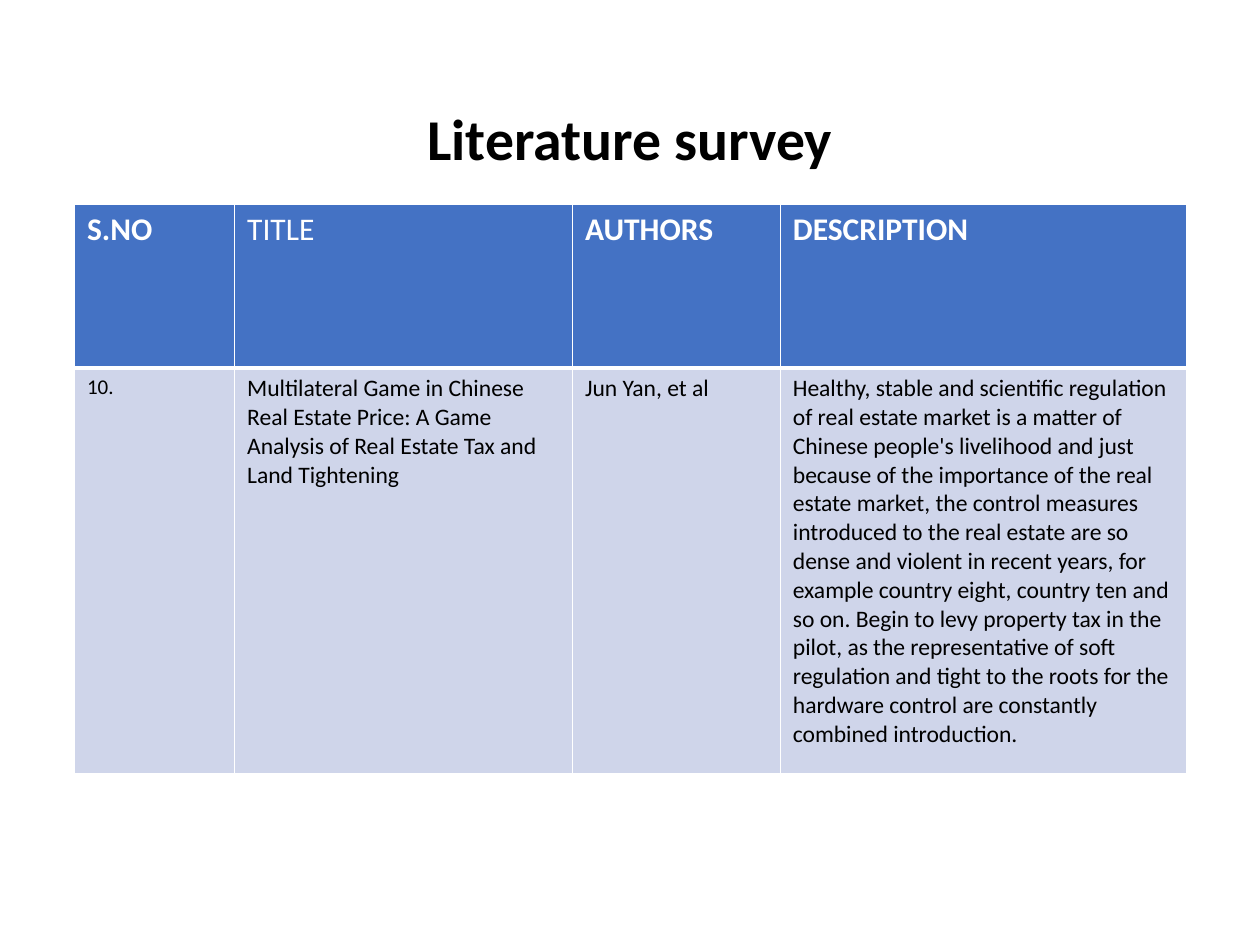
from lxml import etree
from pptx import Presentation
from pptx.dml.color import RGBColor
from pptx.enum.text import MSO_ANCHOR, PP_ALIGN
from pptx.oxml.ns import qn
from pptx.util import Cm, Pt

CENTER = PP_ALIGN.CENTER
LEFT = PP_ALIGN.LEFT
MIDDLE = MSO_ANCHOR.MIDDLE

BLACK = RGBColor(0x00, 0x00, 0x00)
WHITE = RGBColor(0xFF, 0xFF, 0xFF)
HEADER_BLUE = RGBColor(0x44, 0x72, 0xC4)
BODY_BLUE = RGBColor(0xCF, 0xD5, 0xEA)

FONT = "Calibri"
COLUMN_WIDTHS = (3.23, 6.81, 4.19, 8.2)
ROW_HEIGHTS = (3.3, 8.18)
THIN, THICK = 1, 3

# Each entry: text, size in points, bold
HEADINGS = (
    ("S.NO", 18, True),
    ("TITLE", 18, False),
    ("AUTHORS", 18, True),
    ("DESCRIPTION", 18, True),
)
PAPER = (
    ("10.", 12, False),
    ("Multilateral Game in Chinese Real Estate Price: A Game Analysis of "
     "Real Estate Tax and Land Tightening", 13.5, False),
    ("Jun Yan, et al", 13.5, False),
    ("Healthy, stable and scientific regulation of real estate market is a "
     "matter of Chinese people's livelihood and just because of the "
     "importance of the real estate market, the control measures introduced "
     "to the real estate are so dense and violent in recent years, for "
     "example country eight, country ten and so on. Begin to levy property "
     "tax in the pilot, as the representative of soft regulation and tight "
     "to the roots for the hardware control are constantly combined "
     "introduction.", 13.5, False),
)


def write_text(frame, text, *, size, color, bold=False, align=LEFT, spacing=1.0):
    """Write one formatted paragraph into a text frame."""
    frame.word_wrap = True
    paragraph = frame.paragraphs[0]
    paragraph.alignment = align
    paragraph.line_spacing = spacing
    run = paragraph.add_run()
    run.text = text
    run.font.name = FONT
    run.font.size = Pt(size)
    run.font.bold = bold
    run.font.color.rgb = color


def add_heading(slide, text):
    """Add the centred slide heading."""
    heading = slide.shapes.add_textbox(Cm(1.75), Cm(1.02), Cm(21.9), Cm(3.68))
    heading.text_frame.vertical_anchor = MIDDLE
    write_text(heading.text_frame, text, size=33, color=BLACK, bold=True,
               align=CENTER, spacing=0.9)


def set_borders(cell, color, *, top, bottom):
    """Draw the four cell borders, with thin sides; widths are in points."""
    properties = cell._tc.get_or_add_tcPr()
    widths = {"a:lnL": THIN, "a:lnR": THIN, "a:lnT": top, "a:lnB": bottom}
    for position, (tag, width) in enumerate(widths.items()):
        line = etree.Element(qn(tag), w=str(Pt(width)))
        fill = etree.SubElement(line, qn("a:solidFill"))
        etree.SubElement(fill, qn("a:srgbClr"), val=str(color))
        properties.insert(position, line)


def fill_row(row, entries, *, fill, color, top, bottom):
    """Fill, border and write every cell of a row."""
    for cell, (text, size, bold) in zip(row.cells, entries):
        cell.fill.solid()
        cell.fill.fore_color.rgb = fill
        set_borders(cell, WHITE, top=top, bottom=bottom)
        write_text(cell.text_frame, text, size=size, color=color, bold=bold)


def add_survey(slide):
    """Add the literature table with its heading row and one paper."""
    survey = slide.shapes.add_table(
        len(ROW_HEIGHTS), len(COLUMN_WIDTHS), Cm(1.5), Cm(4.12),
        Cm(sum(COLUMN_WIDTHS)), Cm(sum(ROW_HEIGHTS))).table
    for column, width in zip(survey.columns, COLUMN_WIDTHS):
        column.width = Cm(width)
    for row, height in zip(survey.rows, ROW_HEIGHTS):
        row.height = Cm(height)
    headings, paper = survey.rows
    fill_row(headings, HEADINGS, fill=HEADER_BLUE, color=WHITE,
             top=THIN, bottom=THICK)
    fill_row(paper, PAPER, fill=BODY_BLUE, color=BLACK,
             top=THICK, bottom=THIN)


def main():
    """Build and save the slide."""
    deck = Presentation()
    deck.slide_width, deck.slide_height = Cm(25.4), Cm(19.05)
    slide = deck.slides.add_slide(deck.slide_layouts[6])
    add_heading(slide, "Literature survey")
    add_survey(slide)
    deck.save("out.pptx")


main()
